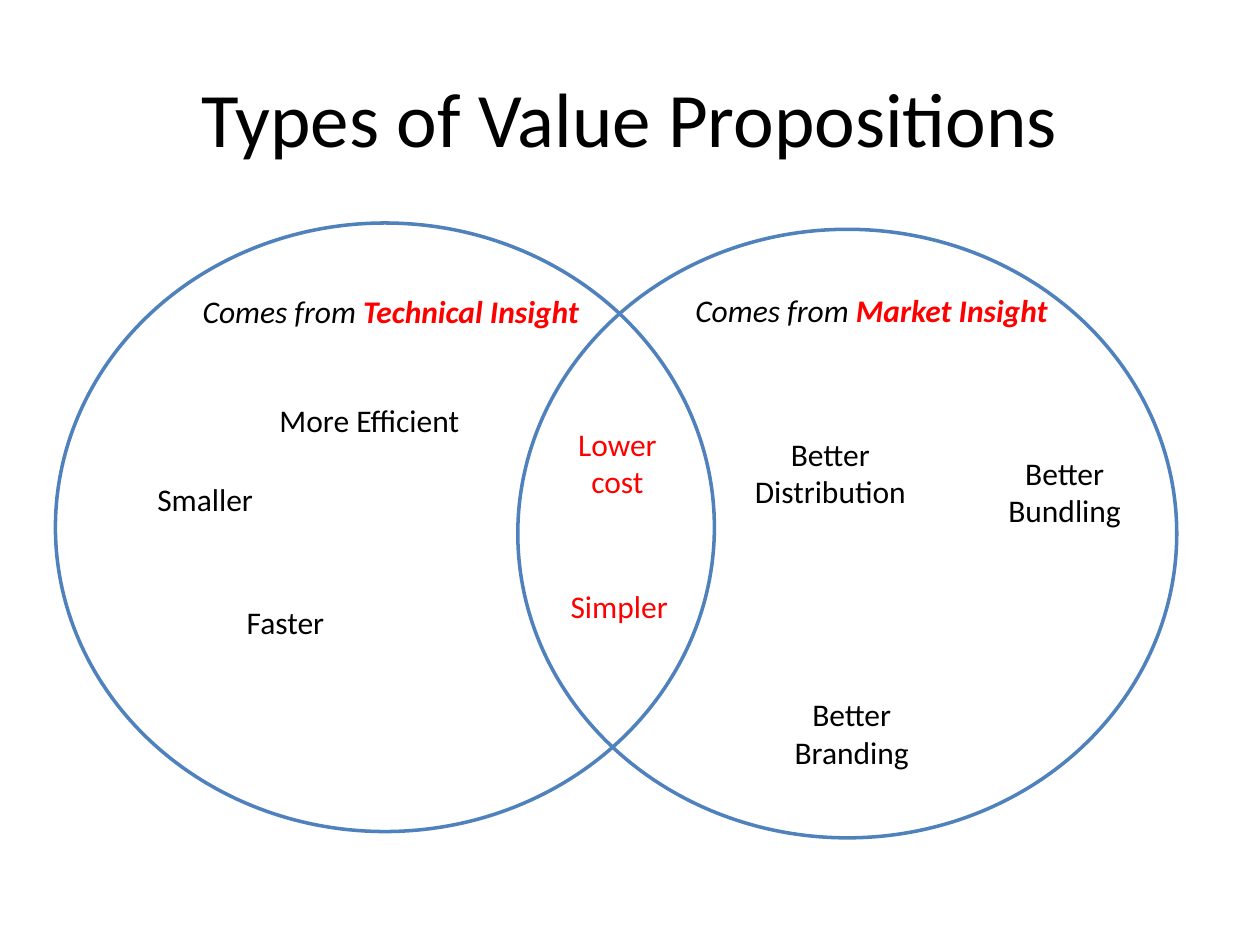
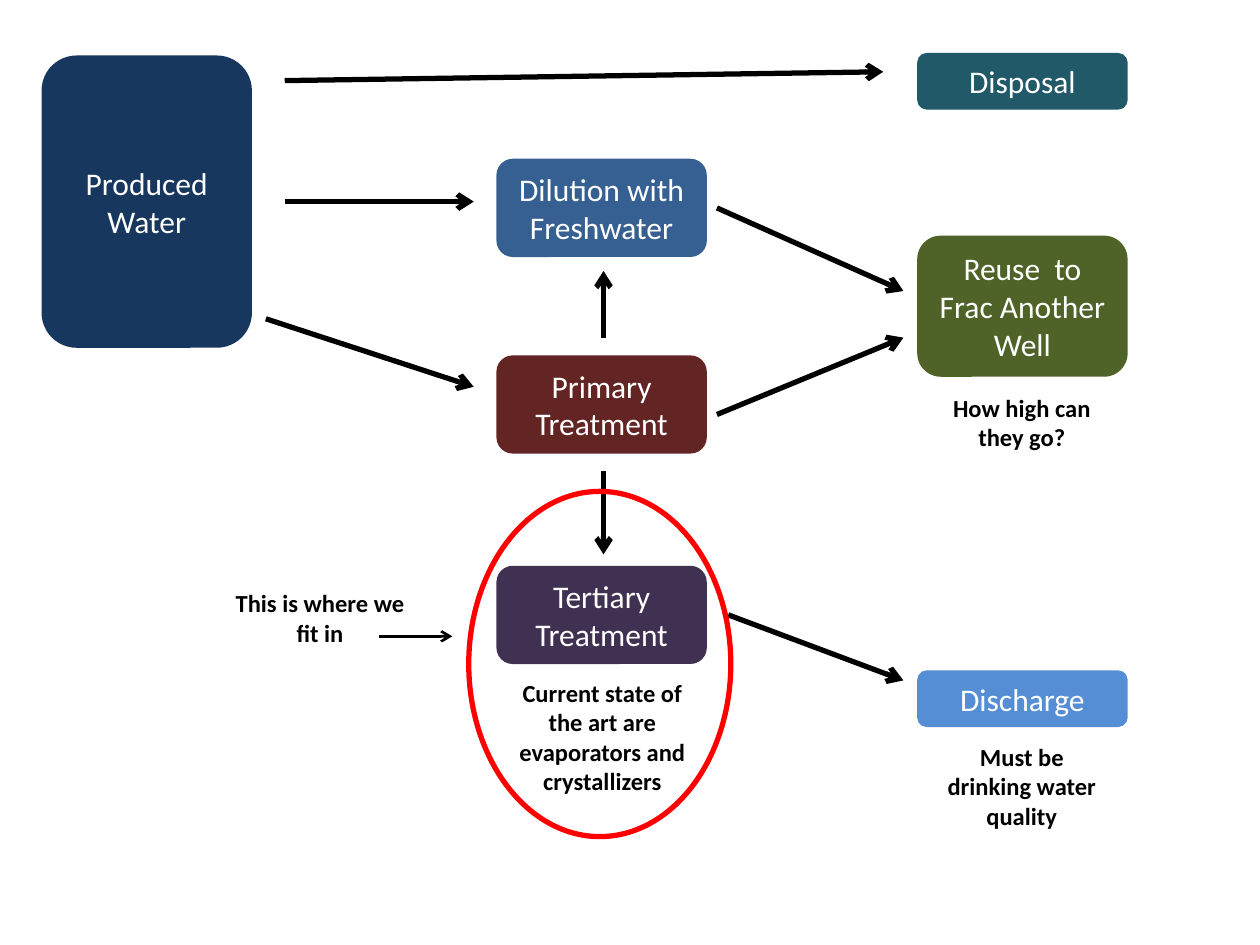
"""Build two slides: a value proposition Venn diagram and a water treatment flow."""
from dataclasses import dataclass

from lxml.etree import SubElement
from pptx import Presentation
from pptx.dml.color import RGBColor
from pptx.enum.shapes import MSO_CONNECTOR as Connector, MSO_SHAPE as Shape
from pptx.enum.text import MSO_ANCHOR as Anchor, PP_ALIGN as Align
from pptx.oxml.ns import qn
from pptx.util import Inches, Pt


@dataclass(frozen=True)
class Theme:
    font: str = "Calibri"
    title_size: int = 44
    label_size: int = 18
    note_size: int = 14
    text: str = "000000"
    light: str = "FFFFFF"
    accent: str = "FF0000"
    venn: str = "4F81BD"
    venn_line: float = 2
    flow_line: float = 3
    pointer_line: float = 1.5


THEME = Theme()

TITLE = "Types of Value Propositions"
TITLE_AREA = (0.5, 0.3, 9, 1.25)
VENN_SIZE = (5.23, 4.83)
VENN_CORNERS = [(0.44, 1.77), (4.11, 1.82)]
INSIGHTS = [
    ("Technical Insight", (1.51, 2.27, 3.26, 0.4)),
    ("Market Insight", (5.42, 2.26, 3.09, 0.4)),
]
SHORT_LABELS = [
    ("Smaller", THEME.text, (1.15, 3.76, 0.97, 0.4)),
    ("More Efficient", THEME.text, (2.12, 3.13, 1.66, 0.4)),
    ("Faster", THEME.text, (1.86, 4.74, 0.84, 0.4)),
    ("Simpler", THEME.accent, (4.43, 4.61, 0.98, 0.4)),
]
WRAPPED_LABELS = [
    ("Lower cost", THEME.accent, (4.41, 3.32, 0.98, 0.71)),
    ("Better Bundling", THEME.text, (7.7, 3.55, 1.5, 0.71)),
    ("Better Branding", THEME.text, (6.01, 5.47, 1.5, 0.71)),
    ("Better Distribution", THEME.text, (5.84, 3.4, 1.5, 0.71)),
]

STAGE_WIDTH = 1.67
STAGE_COLUMNS = [
    (0.33, [("Produced Water", "17375E", 0.44, 2.32)]),
    (3.94, [
        ("Dilution with Freshwater", "376092", 1.26, 0.78),
        ("Primary Treatment", "632523", 2.82, 0.78),
        ("Tertiary Treatment", "403152", 4.49, 0.78),
    ]),
    (7.28, [
        ("Disposal", "215968", 0.42, 0.45),
        ("Reuse  to Frac Another Well", "4F6228", 1.87, 1.12),
        ("Discharge", "558ED5", 5.32, 0.45),
    ]),
]
FLOWS = [
    ((2.26, 0.64), (7.01, 0.57)),
    ((2.26, 1.6), (3.76, 1.6)),
    ((2.11, 2.53), (3.76, 3.07)),
    ((5.69, 1.65), (7.17, 2.31)),
    ((5.69, 3.29), (7.17, 2.68)),
    ((4.79, 2.68), (4.79, 2.15)),
    ((4.79, 3.74), (4.79, 4.4)),
    ((5.78, 4.88), (7.17, 5.4)),
]
NOTES = [
    ("Must be drinking water quality", (7.36, 5.84, 1.5, 0.81)),
    ("How high can they go?", (7.36, 3.07, 1.5, 0.57)),
    ("Current state of the art are evaporators and crystallizers", (3.92, 5.33, 1.72, 1.04)),
    ("This is where we fit in", (1.68, 4.62, 1.72, 0.57)),
]
FOCUS_AREA = (3.72, 3.9, 2.08, 2.74)
POINTER = ((3.01, 5.05), (3.59, 5.05))


def inches(values):
    return [Inches(value) for value in values]


def colour(code):
    return RGBColor.from_string(code)


def style(paragraph, size, code, align=Align.CENTER, bold=None, italic=None):
    paragraph.alignment = align
    font = paragraph.font
    font.name, font.size = THEME.font, Pt(size)
    font.bold, font.italic = bold, italic
    font.color.rgb = colour(code)


def add_text(page, area, text, size=THEME.label_size, code=THEME.text, wrap=True,
             anchor=Anchor.TOP, **look):
    box = page.shapes.add_textbox(*inches(area))
    frame = box.text_frame
    frame.word_wrap, frame.vertical_anchor = wrap, anchor
    para = frame.paragraphs[0]
    para.add_run().text = text
    style(para, size, code, **look)
    return para


def add_ring(page, area, code, width):
    ring = page.shapes.add_shape(Shape.OVAL, *inches(area))
    ring.shadow.inherit = False
    ring.fill.background()
    ring.line.color.rgb = colour(code)
    ring.line.width = Pt(width)


def add_stage(page, area, text, fill):
    stage = page.shapes.add_shape(Shape.ROUNDED_RECTANGLE, *inches(area))
    stage.shadow.inherit = False
    stage.fill.solid()
    stage.fill.fore_color.rgb = colour(fill)
    stage.line.fill.background()
    frame = stage.text_frame
    frame.word_wrap, frame.vertical_anchor = True, Anchor.MIDDLE
    para = frame.paragraphs[0]
    para.add_run().text = text
    style(para, THEME.label_size, THEME.light)


def add_arrow(page, start, end, width):
    arrow = page.shapes.add_connector(Connector.STRAIGHT, *inches(start + end))
    arrow.line.color.rgb = colour(THEME.text)
    arrow.line.width = Pt(width)
    SubElement(arrow.line._get_or_add_ln(), qn("a:tailEnd"), type="arrow")
    SubElement(arrow._element.spPr, qn("a:effectLst"))


def build_venn(page):
    add_text(page, TITLE_AREA, TITLE, THEME.title_size, anchor=Anchor.MIDDLE)
    for corner in VENN_CORNERS:
        add_ring(page, corner + VENN_SIZE, THEME.venn, THEME.venn_line)
    for insight, area in INSIGHTS:
        para = add_text(page, area, "Comes from ", wrap=False, align=Align.LEFT, italic=True)
        span = para.add_run()
        span.text = insight
        span.font.bold = True
        span.font.color.rgb = colour(THEME.accent)
    for text, code, area in SHORT_LABELS:
        add_text(page, area, text, code=code, wrap=False, align=Align.LEFT)
    for text, code, area in WRAPPED_LABELS:
        add_text(page, area, text, code=code)


def build_flow(page):
    for left, stages in STAGE_COLUMNS:
        for text, fill, top, height in stages:
            add_stage(page, (left, top, STAGE_WIDTH, height), text, fill)
    for start, end in FLOWS:
        add_arrow(page, start, end, THEME.flow_line)
    for text, area in NOTES:
        add_text(page, area, text, THEME.note_size, bold=True)
    add_ring(page, FOCUS_AREA, THEME.accent, THEME.flow_line)
    add_arrow(page, *POINTER, THEME.pointer_line)


def main():
    deck = Presentation()
    deck.slide_width, deck.slide_height = Inches(10), Inches(7.5)
    for build in (build_venn, build_flow):
        build(deck.slides.add_slide(deck.slide_layouts[6]))
    deck.save("out.pptx")


if __name__ == "__main__":
    main()
